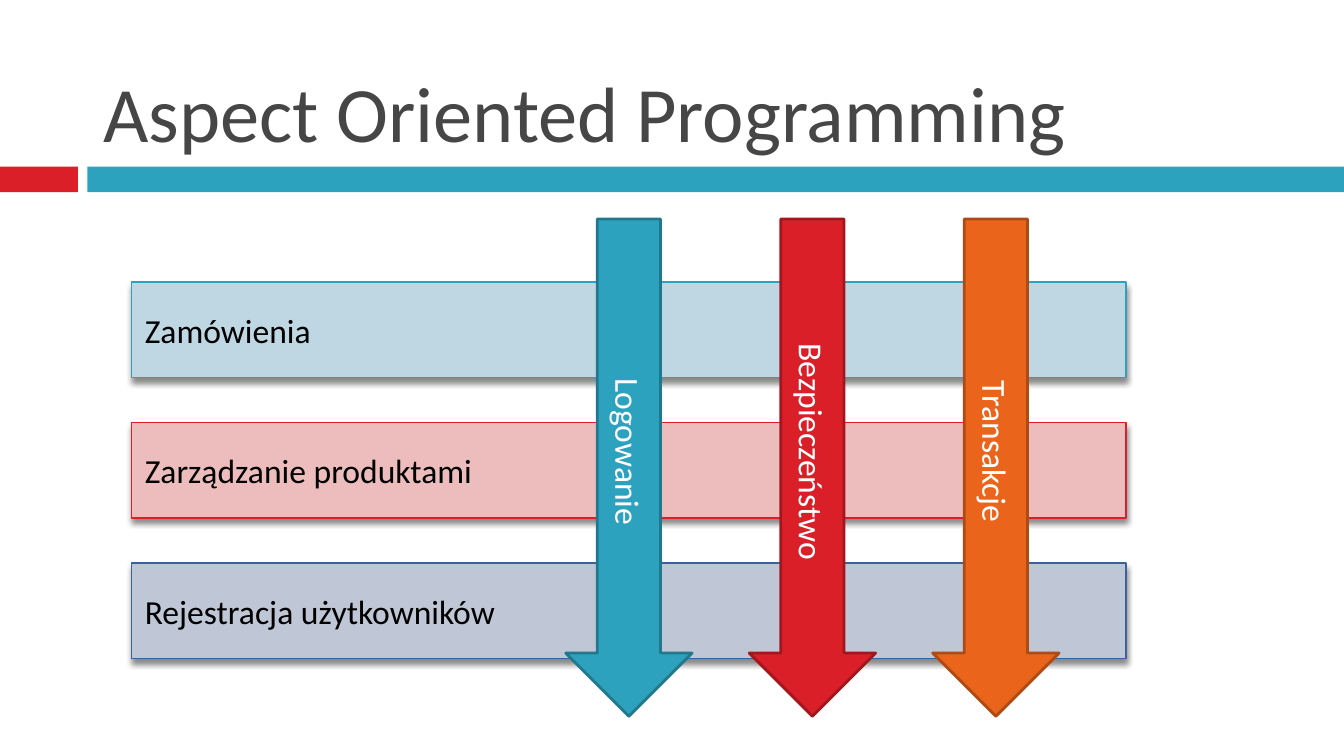
"""Build the slide on aspects that cut across application modules."""
from lxml.etree import SubElement
from pptx import Presentation
from pptx.dml.color import RGBColor
from pptx.enum.shapes import MSO_SHAPE as Shape
from pptx.enum.text import MSO_ANCHOR as Anchor, PP_ALIGN as Align
from pptx.oxml.ns import qn
from pptx.util import Inches, Pt

TITLE = "Aspect Oriented Programming"
BANDS = [(0, 0.58, "DA1F28"), (0.65, 9.35, "2DA2BF")]
MODULES = [
    ("Zamówienia", "BED7E2", "2DA2BF"),
    ("Zarządzanie produktami", "EDBDBE", "DA1F28"),
    ("Rejestracja użytkowników", "BFC6D5", "39639D"),
]
ASPECTS = [
    ("Logowanie", "2DA2BF", "21788D"),
    ("Bezpieczeństwo", "DA1F28", "A1171E"),
    ("Transakcje", "EB641B", "AE4A14"),
]
MODULE_TOPS = (2.1, 4.19)
ASPECT_LEFTS = (4.21, 6.94)


def rgb(value):
    return RGBColor.from_string(value)


def spread(ends, items):
    first, last = ends
    step = (last - first) / (len(items) - 1)
    return [(first + index * step, *item) for index, item in enumerate(items)]


def write(frame, text, size, color, align, anchor):
    frame.word_wrap = True
    frame.vertical_anchor = anchor
    paragraph = frame.paragraphs[0]
    paragraph.alignment = align
    run = paragraph.add_run()
    run.text = text
    run.font.name = "Calibri"
    run.font.size = Pt(size)
    run.font.color.rgb = rgb(color)


def add_block(slide, kind, box, fill, line=None, width=0):
    block = slide.shapes.add_shape(kind, *map(Inches, box))
    block.fill.solid()
    block.fill.fore_color.rgb = rgb(fill)
    if line:
        block.line.color.rgb = rgb(line)
        block.line.width = Pt(width)
    else:
        block.line.fill.background()
    block.shadow.inherit = False
    return block


def cast_shadow(block):
    effects = block._element.spPr.find(qn("a:effectLst"))
    shadow = SubElement(effects, qn("a:outerShdw"), blurRad=str(Pt(3)),
                        dist=str(Pt(2.4)), dir="5400000", rotWithShape="0")
    color = SubElement(shadow, qn("a:srgbClr"), val="000000")
    SubElement(color, qn("a:alpha"), val="45000")


def main():
    deck = Presentation()
    deck.slide_width = Inches(10)
    deck.slide_height = deck.slide_width * 9 // 16
    slide = deck.slides.add_slide(deck.slide_layouts[6])

    for left, width, fill in BANDS:
        add_block(slide, Shape.RECTANGLE, (left, 1.24, width, 0.19), fill)

    heading = slide.shapes.add_textbox(*map(Inches, (0.67, 0.13, 8.92, 1.1)))
    write(heading.text_frame, TITLE, 42, "464646", Align.LEFT, Anchor.BOTTOM)

    for top, module, fill, line in spread(MODULE_TOPS, MODULES):
        bar = add_block(slide, Shape.RECTANGLE, (0.98, top, 7.4, 0.71), fill, line, 0.79)
        cast_shadow(bar)
        write(bar.text_frame, module, 18, "000000", Align.LEFT, Anchor.MIDDLE)

    for left, aspect, fill, line in spread(ASPECT_LEFTS, ASPECTS):
        arrow = add_block(slide, Shape.DOWN_ARROW, (left, 1.63, 0.94, 3.7), fill, line, 1.5)
        write(arrow.text_frame, aspect, 18, "FFFFFF", Align.CENTER, Anchor.MIDDLE)
        arrow.text_frame._txBody.bodyPr.set("vert", "vert")

    deck.save("out.pptx")


if __name__ == "__main__":
    main()
